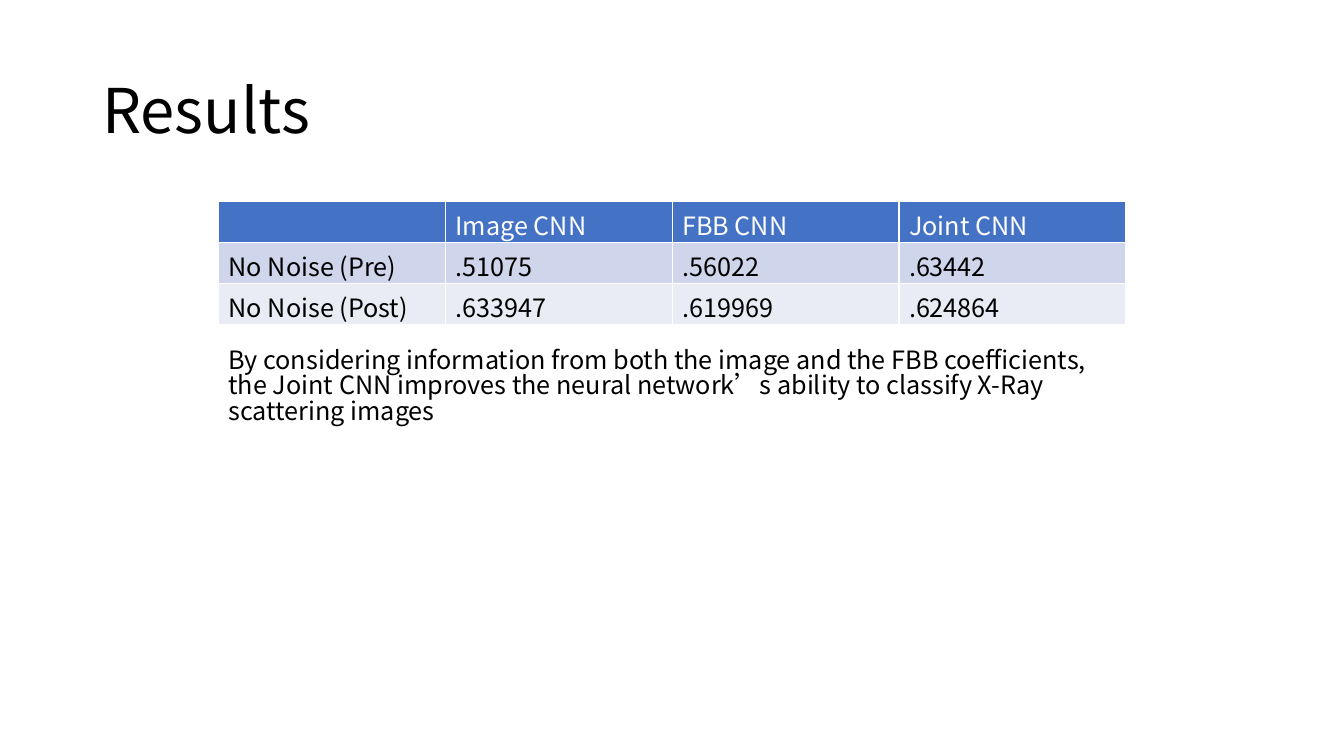
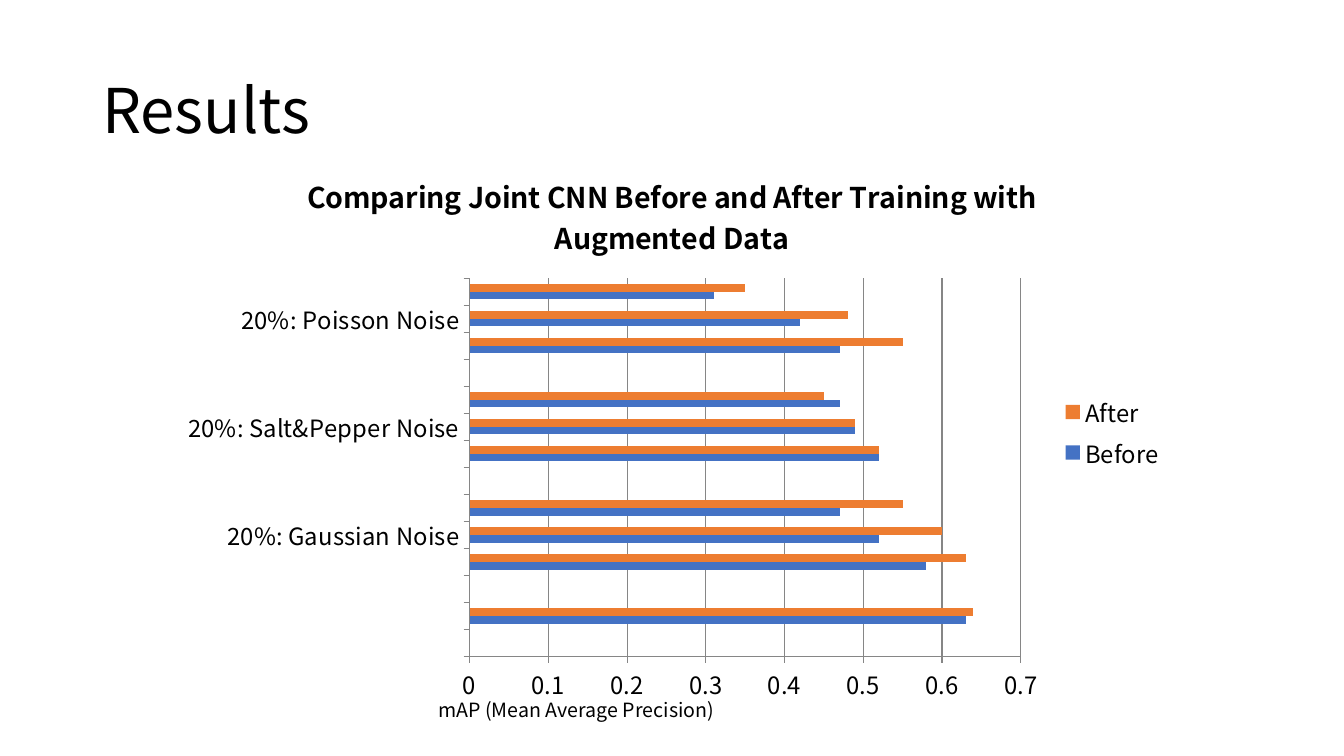
"""Build two results slides: an accuracy table and a noise comparison chart."""
import pptx
import pptx.chart.data
import pptx.dml.color
import pptx.enum.chart
import pptx.enum.text
import pptx.oxml
import pptx.oxml.ns
import pptx.util
from pptx.dml.color import RGBColor
from pptx.util import Cm, Pt

WHITE = RGBColor(0xFF, 0xFF, 0xFF)
BLACK = RGBColor(0x00, 0x00, 0x00)
BLUE = RGBColor(0x44, 0x72, 0xC4)
ORANGE = RGBColor(0xED, 0x7D, 0x31)
GRID_GRAY = RGBColor(0x86, 0x86, 0x86)
ROW_FILLS = [BLUE, RGBColor(0xCF, 0xD5, 0xEA), RGBColor(0xE9, 0xEB, 0xF5)]
FONT_NAME = "Noto Sans CJK SC"
BODY_SPACING = 0.83

RESULT_ROWS = [
    ["", "Image CNN", "FBB CNN", "Joint CNN"],
    ["No Noise (Pre)", ".51075", ".56022", ".63442"],
    ["No Noise (Post)", ".633947", ".619969", ".624864"],
]
NOISE_KINDS = ["Gaussian", "Salt&Pepper", "Poisson"]
NOISE_LEVELS = ["10%", "20%", "30%"]
SERIES = [
    ("Before", BLUE, [0.63, [0.58, 0.52, 0.47], [0.52, 0.49, 0.47], [0.47, 0.42, 0.31]]),
    ("After", ORANGE, [0.64, [0.63, 0.6, 0.55], [0.52, 0.49, 0.45], [0.55, 0.48, 0.35]]),
]


def format_font(font, size, color=BLACK, bold=False):
    values = {"name": FONT_NAME, "size": Pt(size), "bold": bold}
    for name, value in values.items():
        setattr(font, name, value)
    font.color.rgb = color


def add_text(slide, text, box, size, spacing=BODY_SPACING,
             anchor=pptx.enum.text.MSO_ANCHOR.TOP):
    frame = slide.shapes.add_textbox(*map(Cm, box)).text_frame
    for name, value in {"word_wrap": True, "vertical_anchor": anchor}.items():
        setattr(frame, name, value)
    paragraph = frame.paragraphs[0]
    paragraph.text = text
    paragraph.line_spacing = spacing
    format_font(paragraph.font, size)


def add_results_slide(presentation):
    slide = presentation.slides.add_slide(presentation.slide_layouts[6])
    add_text(slide, "Results", (2.33, 1.02, 29.21, 3.68), 44, 0.9,
             pptx.enum.text.MSO_ANCHOR.MIDDLE)
    return slide


def add_cell_borders(cell):
    properties = cell._tc.get_or_add_tcPr()
    for side in "LRTB":
        properties.append(pptx.oxml.parse_xml(
            f'<a:ln{side} {pptx.oxml.ns.nsdecls("a")} w="{Pt(1)}"><a:solidFill>'
            f'<a:srgbClr val="{WHITE}"/></a:solidFill></a:ln{side}>'))


def add_results_table(slide):
    frame = slide.shapes.add_table(len(RESULT_ROWS), len(RESULT_ROWS[0]),
                                   Cm(5.51), Cm(5.08), Cm(22.86), Cm(3.1))
    for row_index, (texts, fill) in enumerate(zip(RESULT_ROWS, ROW_FILLS)):
        for column_index, text in enumerate(texts):
            cell = frame.table.cell(row_index, column_index)
            add_cell_borders(cell)
            cell.fill.solid()
            cell.fill.fore_color.rgb = fill
            paragraph = cell.text_frame.paragraphs[0]
            paragraph.text = text
            format_font(paragraph.font, 18, BLACK if row_index else WHITE)


def noise_chart_data():
    data = pptx.chart.data.CategoryChartData()
    categories = ["", "No Noise"]
    for kind in NOISE_KINDS:
        categories += ["", *(f"{level}: {kind} Noise" for level in NOISE_LEVELS)]
    data.categories = categories
    for name, _, (clean, *groups) in SERIES:
        values = [None, clean]
        for group in groups:
            values += [None, *group]
        data.add_series(name, values)
    return data


def format_axes(chart):
    value_format = {"minimum_scale": 0, "maximum_scale": 0.7, "major_unit": 0.1,
                    "has_major_gridlines": True}
    for name, value in value_format.items():
        setattr(chart.value_axis, name, value)
    chart.value_axis.tick_labels.number_format = "General"
    chart.value_axis.tick_labels.number_format_is_linked = False
    for axis in (chart.value_axis, chart.category_axis):
        axis.major_tick_mark = pptx.enum.chart.XL_TICK_MARK.OUTSIDE
    for lines in (chart.value_axis, chart.category_axis, chart.value_axis.major_gridlines):
        lines.format.line.color.rgb = GRID_GRAY
        lines.format.line.width = Pt(0.75)


def add_noise_chart(slide):
    chart = slide.shapes.add_chart(
        pptx.enum.chart.XL_CHART_TYPE.BAR_CLUSTERED,
        Cm(4.23), Cm(3.81), Cm(25.4), Cm(14.17), noise_chart_data()).chart
    format_font(chart.font, 17)
    chart.has_title = True
    title = chart.chart_title.text_frame.paragraphs[0]
    title.text = "Comparing Joint CNN Before and After Training with Augmented Data"
    format_font(title.font, 20.4, bold=True)
    chart.has_legend = True
    legend_format = {"position": pptx.enum.chart.XL_LEGEND_POSITION.RIGHT,
                     "include_in_layout": False}
    for name, value in legend_format.items():
        setattr(chart.legend, name, value)
    plot = chart.plots[0]
    for name, value in {"gap_width": 150, "vary_by_categories": False}.items():
        setattr(plot, name, value)
    for series, (_, color, _) in zip(plot.series, SERIES):
        series.format.fill.solid()
        series.format.fill.fore_color.rgb = color
    format_axes(chart)


def main():
    presentation = pptx.Presentation()
    for name, value in {"slide_width": Cm(33.87), "slide_height": Cm(19.05)}.items():
        setattr(presentation, name, value)

    table_slide = add_results_slide(presentation)
    add_results_table(table_slide)
    add_text(table_slide,
             "By considering information from both the image and the FBB coefficients, "
             "the Joint CNN improves the neural network’s ability to classify X-Ray "
             "scattering images", (5.51, 8.69, 22.66, 2.57), 18)

    chart_slide = add_results_slide(presentation)
    add_text(chart_slide, "mAP (Mean Average Precision)", (10.8, 17.55, 8.46, 0.86), 14)
    add_noise_chart(chart_slide)
    presentation.save("out.pptx")


if __name__ == "__main__":
    main()
